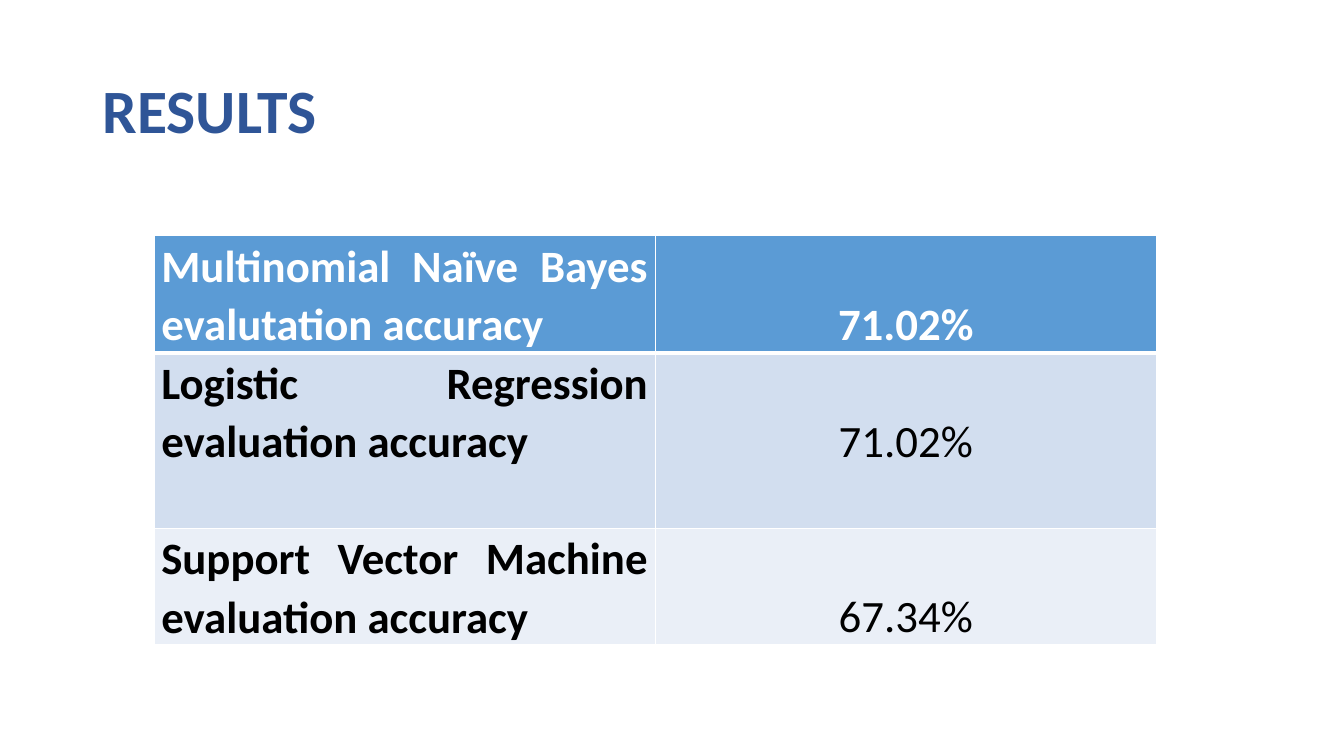
from pptx import Presentation
from pptx.dml.color import RGBColor
from pptx.enum.text import MSO_ANCHOR, PP_ALIGN
from pptx.oxml.ns import qn
from pptx.util import Inches, Pt
from lxml.etree import SubElement

COLORS = {
    "title": "2F5597",
    "white": "FFFFFF",
    "black": "000000",
    "head": "5B9BD5",
    "band": "D2DEEF",
    "light": "EAEFF7",
}
ROWS = [
    ("Multinomial Naïve Bayes evalutation accuracy", "71.02%",
     1.16, "head", "white", MSO_ANCHOR.BOTTOM),
    ("Logistic Regression evaluation accuracy", "71.02%",
     1.74, "band", "black", MSO_ANCHOR.MIDDLE),
    ("Support Vector Machine evaluation accuracy", "67.34%",
     1.16, "light", "black", MSO_ANCHOR.BOTTOM),
]


def color(name):
    return RGBColor.from_string(COLORS[name])


def write(frame, text, size, tint, bold, align, space):
    para = frame.paragraphs[0]
    para.alignment = align
    para.line_spacing = space
    run = para.add_run()
    run.text = text
    run.font.name = "Calibri"
    run.font.size = Pt(size)
    run.font.bold = bold
    run.font.color.rgb = color(tint)


def add_title(slide, text):
    box = slide.shapes.add_textbox(
        Inches(0.92), Inches(0.4), Inches(11.5), Inches(1.45))
    frame = box.text_frame
    frame.word_wrap = True
    frame.vertical_anchor = MSO_ANCHOR.MIDDLE
    write(frame, text, 44, "title", True, PP_ALIGN.LEFT, 0.9)


def add_edges(cell, below):
    props = cell._tc.get_or_add_tcPr()
    for side, width in (("L", 1), ("R", 1), ("T", 1), ("B", below)):
        line = SubElement(props, qn(f"a:ln{side}"), w=str(Pt(width)))
        fill = SubElement(line, qn("a:solidFill"))
        SubElement(fill, qn("a:srgbClr"), val=COLORS["white"])


def fill_cell(cell, text, fill, tint, bold, align, anchor, below):
    add_edges(cell, below)
    cell.fill.solid()
    cell.fill.fore_color.rgb = color(fill)
    cell.margin_left = cell.margin_right = Inches(0.07)
    cell.margin_top = cell.margin_bottom = 0
    cell.vertical_anchor = anchor
    write(cell.text_frame, text, 32, tint, bold, align, 1.07)


def add_scores(slide):
    tall = sum(row[2] for row in ROWS)
    table = slide.shapes.add_table(
        len(ROWS), 2, Inches(1.53), Inches(2.34),
        Inches(9.94), Inches(tall)).table
    for i, (label, score, high, fill, tint, anchor) in enumerate(ROWS):
        table.rows[i].height = Inches(high)
        below = 3 if i == 0 else 1
        fill_cell(table.cell(i, 0), label, fill, tint, True,
                  PP_ALIGN.JUSTIFY, MSO_ANCHOR.TOP, below)
        fill_cell(table.cell(i, 1), score, fill, tint, i == 0,
                  PP_ALIGN.CENTER, anchor, below)


def main():
    deck = Presentation()
    deck.slide_width = Inches(13.33)
    deck.slide_height = Inches(7.5)
    slide = deck.slides.add_slide(deck.slide_layouts[6])
    add_title(slide, "RESULTS")
    add_scores(slide)
    deck.save("out.pptx")


main()
